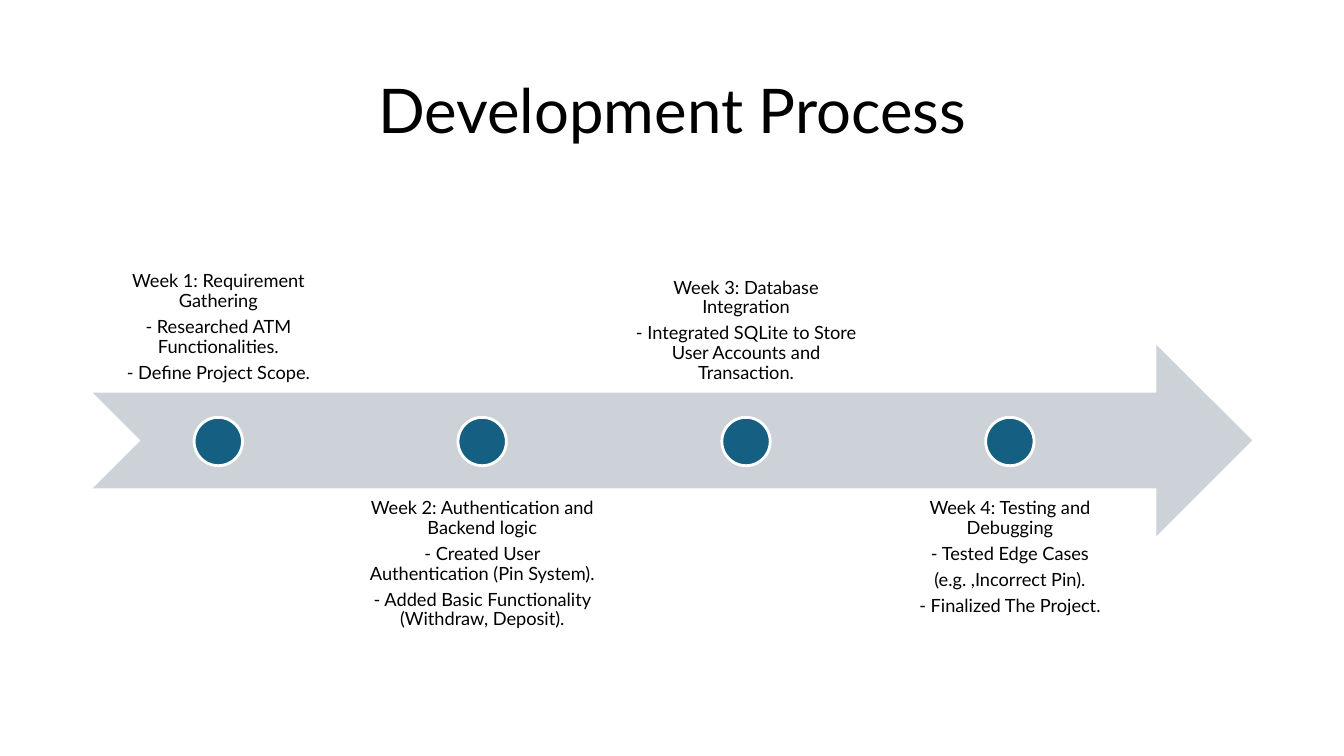
from dataclasses import dataclass

from pptx import Presentation
from pptx.dml.color import RGBColor
from pptx.enum.shapes import MSO_SHAPE
from pptx.enum.text import MSO_ANCHOR, PP_ALIGN
from pptx.util import Inches, Pt


@dataclass(frozen=True)
class Theme:
    font: str = "Lato"
    text: RGBColor = RGBColor(0x00, 0x00, 0x00)
    arrow: RGBColor = RGBColor(0xCC, 0xD2, 0xD8)
    marker: RGBColor = RGBColor(0x15, 0x60, 0x82)
    outline: RGBColor = RGBColor(0xFF, 0xFF, 0xFF)
    title_size: float = 44
    body_size: float = 13
    paragraph_gap: float = 4.5


THEME = Theme()

LEFT, WIDTH = 0.92, 11.5
LABEL_WIDTH, LABEL_HEIGHT = 2.49, 1.9
LABEL_ABOVE, LABEL_BELOW = 2.0, 4.85
WEEK_STEP = 2.617
MARKER_SIZE = 0.48
MARKER_TOP = 4.14

WEEKS = [
    ["Week 1: Requirement Gathering",
     "- Researched ATM Functionalities.",
     "- Define Project Scope."],
    ["Week 2: Authentication and Backend logic",
     "- Created User Authentication (Pin System).",
     "- Added Basic Functionality (Withdraw, Deposit)."],
    ["Week 3: Database Integration",
     "- Integrated SQLite to Store User Accounts and Transaction."],
    ["Week 4: Testing and Debugging",
     "- Tested Edge Cases",
     "(e.g. ,Incorrect Pin).",
     "- Finalized The Project."],
]


def add_text(slide, box, lines, size, anchor):
    frame = slide.shapes.add_textbox(*map(Inches, box)).text_frame
    frame.word_wrap = True
    frame.vertical_anchor = anchor
    frame.margin_left = frame.margin_right = Inches(0.1)
    frame.margin_top = frame.margin_bottom = Inches(0.1)
    for index, line in enumerate(lines):
        paragraph = frame.add_paragraph() if index else frame.paragraphs[0]
        paragraph.alignment = PP_ALIGN.CENTER
        paragraph.line_spacing = 0.9
        if index:
            paragraph.space_before = Pt(THEME.paragraph_gap)
        run = paragraph.add_run()
        run.text = line
        run.font.name = THEME.font
        run.font.size = Pt(size)
        run.font.color.rgb = THEME.text


def add_filled_shape(slide, kind, box, color):
    shape = slide.shapes.add_shape(kind, *map(Inches, box))
    shape.shadow.inherit = False
    shape.fill.solid()
    shape.fill.fore_color.rgb = color
    shape.line.fill.background()
    return shape


def add_week(slide, index, lines):
    left = LEFT + index * WEEK_STEP
    above = index % 2 == 0
    top = LABEL_ABOVE if above else LABEL_BELOW
    anchor = MSO_ANCHOR.BOTTOM if above else MSO_ANCHOR.TOP
    add_text(slide, (left, top, LABEL_WIDTH, LABEL_HEIGHT), lines, THEME.body_size, anchor)

    marker_left = left + (LABEL_WIDTH - MARKER_SIZE) / 2
    marker = add_filled_shape(
        slide, MSO_SHAPE.OVAL, (marker_left, MARKER_TOP, MARKER_SIZE, MARKER_SIZE), THEME.marker)
    marker.line.color.rgb = THEME.outline
    marker.line.width = Pt(2)


def main():
    presentation = Presentation()
    presentation.slide_width = Inches(13.33)
    presentation.slide_height = Inches(7.5)
    slide = presentation.slides.add_slide(presentation.slide_layouts[6])

    add_text(slide, (LEFT, 0.4, WIDTH, 1.45), ["Development Process"],
             THEME.title_size, MSO_ANCHOR.MIDDLE)
    add_filled_shape(slide, MSO_SHAPE.NOTCHED_RIGHT_ARROW, (LEFT, 3.42, WIDTH, 1.9), THEME.arrow)
    for index, lines in enumerate(WEEKS):
        add_week(slide, index, lines)

    presentation.save("out.pptx")


if __name__ == "__main__":
    main()
